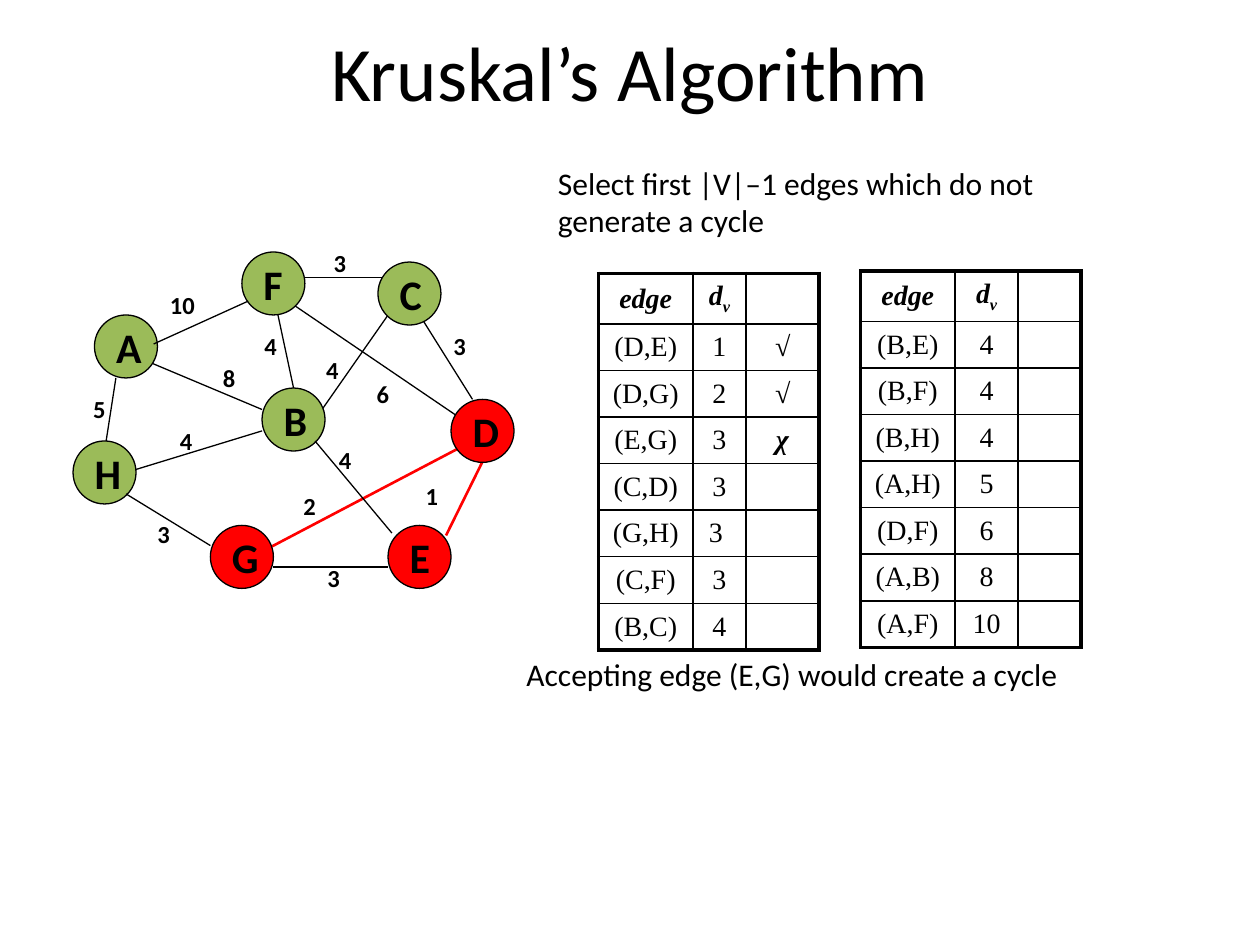
from dataclasses import dataclass

from lxml.etree import SubElement
from pptx import Presentation
from pptx.dml.color import RGBColor
from pptx.enum.shapes import MSO_CONNECTOR, MSO_SHAPE
from pptx.enum.text import MSO_ANCHOR, PP_ALIGN
from pptx.oxml.ns import qn
from pptx.util import Inches, Pt


@dataclass(frozen=True)
class Theme:
    ink: str = "000000"
    node: str = "9BBB59"
    chosen: str = "FF0000"
    body_font: str = "Calibri"
    table_font: str = "Times New Roman"
    title_size: int = 44
    node_size: int = 24
    note_size: int = 18
    table_size: int = 16
    weight_size: int = 14
    thin: float = 0.75
    thick: float = 1.5
    grid: float = 1
    frame: float = 2.25


NODE_SIZE = 0.5
HEADER_HEIGHT, ROW_HEIGHT = 0.4, 0.37
NODES = {
    "A": (0.75, 2.5), "H": (0.58, 3.5), "B": (2.08, 3.08), "F": (1.92, 2),
    "E": (3.08, 4.17), "D": (3.58, 3.17), "C": (3, 2.08), "G": (1.67, 4.17),
}
CHOSEN_NODES = "DEG"
CHOSEN_WEIGHTS = ("1", "2")

# start, end, weight, left and top of its label, label width
EDGES_BEHIND_NODES = [
    ((3.95, 3.42), (3.54, 4.25), "1", (3.28, 3.77), 0.52),
    ((2.17, 2.33), (2.33, 3.08), "4", (2, 2.58), 0.33),
    ((2.5, 3.33), (3.08, 2.5), "4", (2.49, 2.77), 0.33),
    ((3.67, 3.33), (2.33, 2.42), "6", (2.89, 2.96), 0.51),
    ((1, 3.75), (2.08, 3.42), "4", (1.33, 3.33), 0.33),
    ((2, 4.42), (3.75, 3.5), "2", (2.31, 3.85), 0.33),
    ((0.83, 3.58), (0.92, 3), "5", (0.64, 3.08), 0.33),
    ((1.08, 2.83), (2.08, 3.25), "8", (1.67, 2.83), 0.33),
    ((2.38, 2.2), (3.05, 2.2), "3", (2.55, 1.92), 0.33),
    ((3.33, 2.5), (3.75, 3.17), "3", (3.5, 2.58), 0.33),
]
EDGES_OVER_NODES = [
    ((2.5, 3.5), (3.11, 4.23), "4", (2.59, 3.48), 0.52),
    ((3.08, 4.5), (2.17, 4.5), "3", (2.5, 4.42), 0.33),
    ((1.67, 4.33), (1, 3.92), "3", (1.15, 4.07), 0.33),
    ((1.22, 2.73), (1.97, 2.39), "10", (1.25, 2.25), 0.52),
]

FIRST_EDGES = [
    ("(D,E)", "1", "√"), ("(D,G)", "2", "√"), ("(E,G)", "3", "χ"),
    ("(C,D)", "3", ""), ("(G,H)", "3 ", ""), ("(C,F)", "3", ""), ("(B,C)", "4", ""),
]
LAST_EDGES = [
    ("(B,E)", "4", ""), ("(B,F)", "4", ""), ("(B,H)", "4", ""), ("(A,H)", "5", ""),
    ("(D,F)", "6", ""), ("(A,B)", "8", ""), ("(A,F)", "10", ""),
]


def add_run(paragraph, text, *, size, font, color, bold=False, italic=False, subscript=False):
    run = paragraph.add_run()
    run.text = text
    run.font.size = Pt(size)
    run.font.name = font
    run.font.bold = bold
    run.font.italic = italic
    run.font.color.rgb = RGBColor.from_string(color)
    if subscript:
        run.font._element.set("baseline", "-25000")


def set_borders(cell, color, widths):
    """Draw the cell's sides; widths are points for left, right, top, bottom."""
    properties = cell._tc.get_or_add_tcPr()
    for index, (side, width) in enumerate(zip("LRTB", widths)):
        line = SubElement(properties, qn(f"a:ln{side}"), w=str(Pt(width)))
        fill = SubElement(line, qn("a:solidFill"))
        SubElement(fill, qn("a:srgbClr"), val=color)
        properties.insert(index, line)


class SlideBuilder:
    def __init__(self, slide, theme):
        self.slide = slide
        self.shapes = slide.shapes
        self.theme = theme

    def title(self, text, left, top, width, height):
        title = self.shapes.title
        title.left, title.top = Inches(left), Inches(top)
        title.width, title.height = Inches(width), Inches(height)
        title.text_frame.vertical_anchor = MSO_ANCHOR.MIDDLE
        paragraph = title.text_frame.paragraphs[0]
        paragraph.alignment = PP_ALIGN.CENTER
        add_run(paragraph, text, size=self.theme.title_size,
                font=self.theme.body_font, color=self.theme.ink)

    def text(self, text, left, top, width, height, *, size, bold=False):
        box = self.shapes.add_textbox(Inches(left), Inches(top), Inches(width), Inches(height))
        box.text_frame.word_wrap = True
        add_run(box.text_frame.paragraphs[0], text, size=size, bold=bold,
                font=self.theme.body_font, color=self.theme.ink)

    def edge(self, start, end, weight, label_at, label_width):
        chosen = weight in CHOSEN_WEIGHTS
        line = self.shapes.add_connector(
            MSO_CONNECTOR.STRAIGHT, *(Inches(value) for value in start + end))
        line.line.color.rgb = RGBColor.from_string(self.theme.chosen if chosen else self.theme.ink)
        line.line.width = Pt(self.theme.thick if chosen else self.theme.thin)
        SubElement(line._element.spPr, qn("a:effectLst"))
        self.text(weight, *label_at, label_width, 0.33, size=self.theme.weight_size, bold=True)

    def node(self, name, left, top):
        node = self.shapes.add_shape(
            MSO_SHAPE.OVAL, Inches(left), Inches(top), Inches(NODE_SIZE), Inches(NODE_SIZE))
        node.shadow.inherit = False
        node.fill.solid()
        node.fill.fore_color.rgb = RGBColor.from_string(
            self.theme.chosen if name in CHOSEN_NODES else self.theme.node)
        node.line.color.rgb = RGBColor.from_string(self.theme.ink)
        node.line.width = Pt(self.theme.thin)
        node.text_frame.word_wrap = False
        node.text_frame.vertical_anchor = MSO_ANCHOR.MIDDLE
        paragraph = node.text_frame.paragraphs[0]
        paragraph.alignment = PP_ALIGN.LEFT
        add_run(paragraph, name, size=self.theme.node_size, bold=True,
                font=self.theme.body_font, color=self.theme.ink)

    def edge_table(self, edges, left, top, widths):
        rows = [("edge", "dv", "")] + edges
        heights = [HEADER_HEIGHT] + [ROW_HEIGHT] * len(edges)
        table = self.shapes.add_table(
            len(rows), len(widths), Inches(left), Inches(top),
            Inches(sum(widths)), Inches(sum(heights))).table
        table.first_row = table.horz_banding = False
        for column, width in zip(table.columns, widths):
            column.width = Inches(width)
        last_row, last_column = len(rows) - 1, len(widths) - 1
        for row, (values, height) in enumerate(zip(rows, heights)):
            table.rows[row].height = Inches(height)
            for column, text in enumerate(values):
                outer = (column == 0, column == last_column, row == 0, row == last_row)
                self.cell(table.cell(row, column), text, outer,
                          emphasis=row == 0 or column == last_column)

    def cell(self, cell, text, outer, emphasis):
        """Fill a cell; outer tells which sides lie on the table's frame."""
        cell.fill.background()
        cell.vertical_anchor = MSO_ANCHOR.MIDDLE
        cell.margin_top = cell.margin_bottom = Inches(0.02)
        set_borders(cell, self.theme.ink,
                    [self.theme.frame if side else self.theme.grid for side in outer])
        paragraph = cell.text_frame.paragraphs[0]
        paragraph.alignment = PP_ALIGN.CENTER
        parts = ("d", "v") if text == "dv" else (text,) if text else ()
        for part in parts:
            add_run(paragraph, part, size=self.theme.table_size, font=self.theme.table_font,
                    color=self.theme.ink, bold=emphasis, italic=emphasis, subscript=part == "v")


def main():
    presentation = Presentation()
    presentation.slide_width, presentation.slide_height = Inches(10), Inches(7.5)
    theme = Theme()
    builder = SlideBuilder(presentation.slides.add_slide(presentation.slide_layouts[5]), theme)

    builder.title("Kruskal’s Algorithm", 0.21, 0.12, 9.58, 0.88)
    builder.text("Select first |V|–1 edges which do not generate a cycle",
                 4.33, 1.25, 4.42, 0.77, size=theme.note_size)
    for edge in EDGES_BEHIND_NODES:
        builder.edge(*edge)
    for name, position in NODES.items():
        builder.node(name, *position)
    for edge in EDGES_OVER_NODES:
        builder.edge(*edge)
    builder.edge_table(FIRST_EDGES, 4.75, 2.17, (0.75, 0.42, 0.58))
    builder.edge_table(LAST_EDGES, 6.83, 2.15, (0.75, 0.5, 0.5))
    builder.text("Accepting edge (E,G) would create a cycle",
                 4.08, 5.15, 5.08, 0.43, size=theme.note_size)
    presentation.save("out.pptx")


if __name__ == "__main__":
    main()
